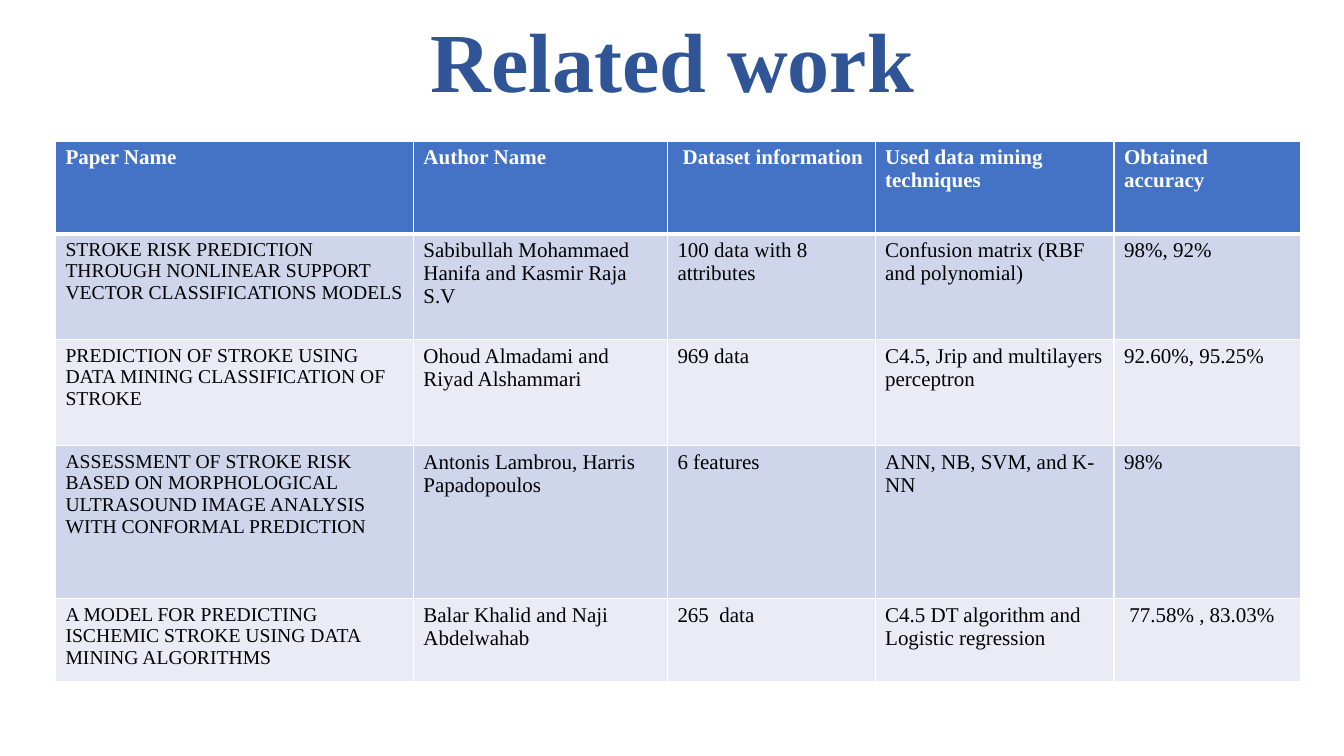
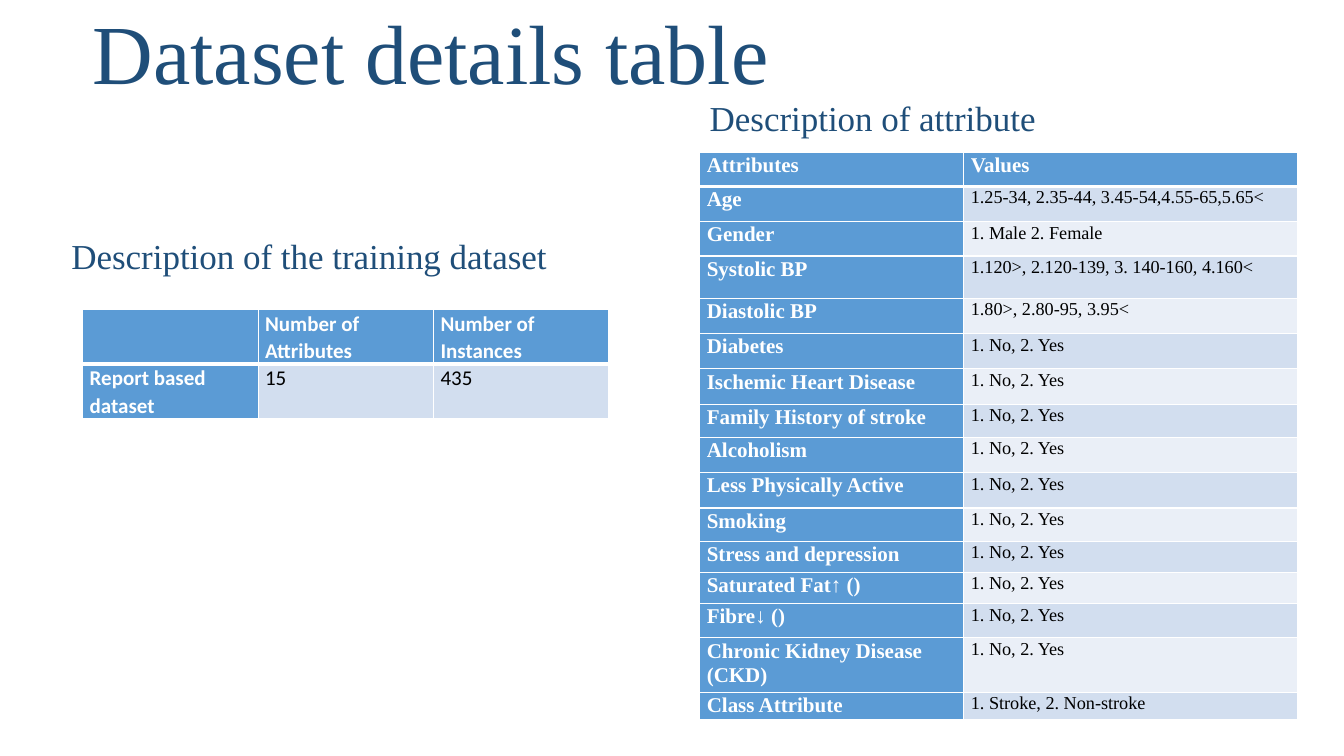
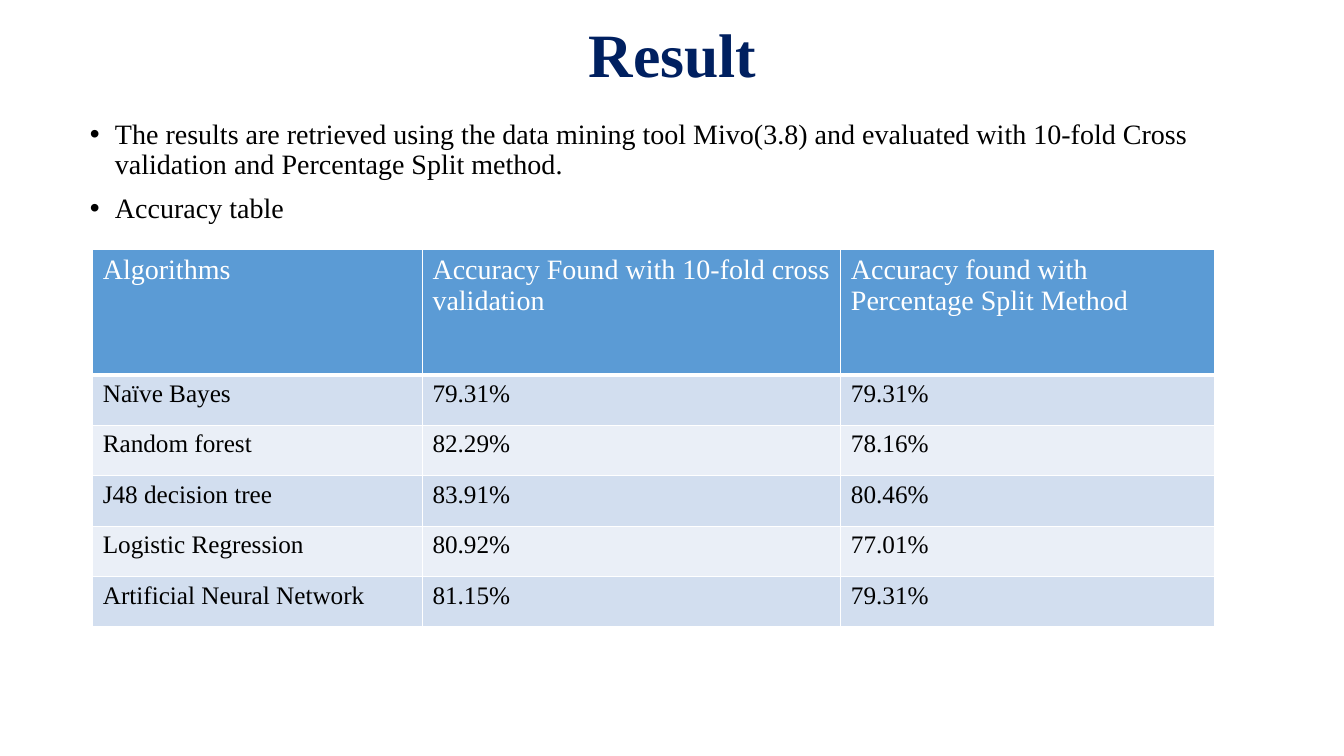
import pptx
import pptx.util
import pptx.dml.color
import pptx.enum.text
import pptx.oxml
import pptx.oxml.ns
from dataclasses import dataclass


@dataclass(frozen=True)
class Theme:
    serif: str = "Times New Roman"
    sans: str = "Calibri"
    white: str = "FFFFFF"
    black: str = "000000"
    royal: str = "2F5597"
    teal: str = "1F4E79"
    navy: str = "002060"
    indigo_head: str = "4472C4"
    indigo_bands: tuple = ("CFD5EA", "E9EBF5")
    sky_head: str = "5B9BD5"
    sky_bands: tuple = ("D2DEEF", "EAEFF7")
    display: int = 60
    heading: int = 44
    subheading: int = 25
    body: int = 20
    cell: int = 18
    compact: int = 15
    small: int = 14
    tiny: int = 13
    thin: int = 1
    thick: int = 3


theme = Theme()
align = pptx.enum.text.PP_ALIGN
deck = pptx.Presentation()
deck.slide_width = pptx.util.Inches(13.33)
deck.slide_height = pptx.util.Inches(7.5)
unit = deck.slide_height / 75
content_layout, title_layout = deck.slide_layouts[1], deck.slide_layouts[5]


def write(frame, text, size, color, face=theme.serif, bold=False,
          alignment=align.LEFT, spacing=1.0, before=0, hang=0):
    frame.word_wrap = True
    frame.text = text
    for para in frame.paragraphs:
        para.alignment = alignment
        para.line_spacing = spacing
        para.space_before = pptx.util.Pt(before)
        if hang:
            properties = para._p.get_or_add_pPr()
            properties.set("marL", str(int(hang * unit)))
            properties.set("indent", str(int(-hang * unit)))
        for font in [para.font] + [span.font for span in para.runs]:
            font.size = pptx.util.Pt(size)
            font.name = face
            font.bold = bold
            font.color.rgb = pptx.dml.color.RGBColor.from_string(color)


def add_grid(page, left, top, columns, rows, records, head_fill, bands, sizes,
             head_size, bold=True, side_head=False, face=theme.serif, tight=False):
    area = [int(n * unit) for n in (left, top, sum(columns), sum(rows))]
    table = page.shapes.add_table(len(rows), len(columns), *area).table
    table.first_row = table.horz_banding = False
    for column, width in zip(table.columns, columns):
        column.width = int(width * unit)
    for r, (height, record) in enumerate(zip(rows, records)):
        table.rows[r].height = int(height * unit)
        for c, text in enumerate(record):
            cell = table.cell(r, c)
            is_head = r == 0 or (side_head and c == 0)
            if tight:
                cell.margin_left = cell.margin_right = int(0.7 * unit)
                cell.margin_top = cell.margin_bottom = 0
            write(cell.text_frame, text, head_size if is_head else sizes[c],
                  theme.white if is_head else theme.black, face=face,
                  bold=bold and is_head, spacing=1.07 if tight else 1.0)
            weights = {"L": theme.thin, "R": theme.thin,
                       "T": theme.thick if r == 1 else theme.thin,
                       "B": theme.thick if r == 0 else theme.thin}
            for side, weight in weights.items():
                cell._tc.get_or_add_tcPr().append(pptx.oxml.parse_xml(
                    f'<a:ln{side} {pptx.oxml.ns.nsdecls("a")} w="{pptx.util.Pt(weight)}">'
                    f'<a:solidFill><a:srgbClr val="{theme.white}"/></a:solidFill></a:ln{side}>'))
            cell.fill.solid()
            cell.fill.fore_color.rgb = pptx.dml.color.RGBColor.from_string(
                head_fill if is_head else bands[(r - 1) % 2])


titles = [
    (title_layout, "Related work", (9.2, 1.5, 115, 10),
     dict(size=theme.display, color=theme.royal, bold=True, alignment=align.CENTER)),
    (title_layout, "Dataset details table", (8.2, 0.6, 115, 10.2),
     dict(size=theme.display, color=theme.teal)),
    (content_layout, "Result", (9.2, 0, 115, 11.4),
     dict(size=theme.heading, color=theme.navy, bold=True, alignment=align.CENTER)),
]
for layout, text, area, style in titles:
    page = deck.slides.add_slide(layout)
    title = page.shapes.title
    title.left, title.top, title.width, title.height = [int(n * unit) for n in area]
    title.text_frame.auto_size = pptx.enum.text.MSO_AUTO_SIZE.NONE
    title.text_frame.vertical_anchor = pptx.enum.text.MSO_ANCHOR.MIDDLE
    write(title.text_frame, text, spacing=0.9, **style)
related, dataset, result = deck.slides

papers = [
    ("Paper Name", "Author Name", " Dataset information",
     "Used data mining techniques", "Obtained accuracy"),
    ("STROKE RISK PREDICTION THROUGH NONLINEAR SUPPORT VECTOR CLASSIFICATIONS MODELS",
     "Sabibullah Mohammaed Hanifa and Kasmir Raja S.V", "100 data with 8 attributes",
     "Confusion matrix (RBF and polynomial)", "98%, 92%"),
    ("PREDICTION OF STROKE USING DATA MINING CLASSIFICATION OF STROKE",
     "Ohoud Almadami and Riyad Alshammari", "969 data",
     "C4.5, Jrip and multilayers perceptron", "92.60%, 95.25%"),
    ("ASSESSMENT OF STROKE RISK BASED ON MORPHOLOGICAL ULTRASOUND IMAGE ANALYSIS "
     "WITH CONFORMAL PREDICTION",
     "Antonis Lambrou, Harris Papadopoulos", "6 features",
     "ANN, NB, SVM, and K-NN", "98%"),
    ("A MODEL FOR PREDICTING ISCHEMIC STROKE USING DATA MINING ALGORITHMS",
     "Balar Khalid and Naji Abdelwahab", "265  data",
     "C4.5 DT algorithm and Logistic regression", " 77.58% , 83.03%"),
]
add_grid(related, 5.5, 14, (35.5, 25.2, 20.6, 23.7, 18.5), (9.2, 10.5, 10.5, 15.2, 8.2),
         papers, theme.indigo_head, theme.indigo_bands,
         sizes=[theme.small] + [theme.compact] * 4, head_size=theme.compact)

captions = [
    ("Description of attribute", (69.4, 9.6, 61.1, 57.4)),
    ("Description of the training dataset", (6.1, 23.2, 58.6, 21.2)),
]
for text, area in captions:
    box = dataset.shapes.add_textbox(*[int(n * unit) for n in area])
    write(box.text_frame, text, theme.subheading, theme.teal, spacing=0.9, before=10)

training = [
    ("", "Number of Attributes", "Number of Instances"),
    ("Report based dataset", "15", "435"),
]
add_grid(dataset, 8.2, 30.7, [17.4] * 3, [5.4] * 2, training,
         theme.sky_head, theme.sky_bands, sizes=[theme.compact] * 3,
         head_size=theme.compact, side_head=True, face=theme.sans, tight=True)

yes_no = "1. No, 2. Yes"
yes_no_names = ["Diabetes", "Ischemic Heart Disease", "Family History of stroke",
                "Alcoholism", "Less Physically Active", "Smoking",
                "Stress and depression", "Saturated Fat↑ ()", "Fibre↓ ()",
                "Chronic Kidney Disease (CKD)"]
attributes = [
    ("Attributes", "Values"),
    ("Age", "1.25-34, 2.35-44, 3.45-54,4.55-65,5.65<"),
    ("Gender", "1. Male 2. Female"),
    ("Systolic BP", "1.120>, 2.120-139, 3. 140-160, 4.160<"),
    ("Diastolic BP", "1.80>, 2.80-95, 3.95<"),
    *[(name, yes_no) for name in yes_no_names],
    ("Class Attribute", "1. Stroke, 2. Non-stroke"),
]
attribute_rows = (3.4, 3.5, 3.4, 4.2, 3.5, 3.5, 3.5, 3.3, 3.5, 3.5, 3.3, 3.1, 3.1, 3.4, 5.4, 2.7)
add_grid(dataset, 69.4, 15.1, (26.2, 33.1), attribute_rows, attributes,
         theme.sky_head, theme.sky_bands, sizes=[theme.compact, theme.tiny],
         head_size=theme.compact, side_head=True, tight=True)

body = result.placeholders[1]
body.left, body.top, body.width, body.height = [int(n * unit) for n in (7.9, 11.4, 115, 47.6)]
body.text_frame.auto_size = pptx.enum.text.MSO_AUTO_SIZE.NONE
write(body.text_frame,
      "The results are retrieved using the data mining tool Mivo(3.8) and evaluated "
      "with 10-fold Cross validation and Percentage Split method.\nAccuracy table",
      theme.body, theme.black, spacing=0.9, before=10, hang=2.5)

accuracies = [
    ("Algorithms", "Accuracy Found with 10-fold cross validation",
     "Accuracy found with Percentage Split Method"),
    ("Naïve Bayes", "79.31%", "79.31%"),
    ("Random forest", "82.29%", "78.16%"),
    ("J48 decision tree", "83.91%", "80.46%"),
    ("Logistic Regression", "80.92%", "77.01%"),
    ("Artificial Neural Network", "81.15%", "79.31%"),
]
add_grid(result, 9.2, 24.7, (32.7, 41.5, 37.1), [12.5] + [5] * 5, accuracies,
         theme.sky_head, theme.sky_bands, sizes=[theme.cell] * 3,
         head_size=theme.body, bold=False)

deck.save("out.pptx")
